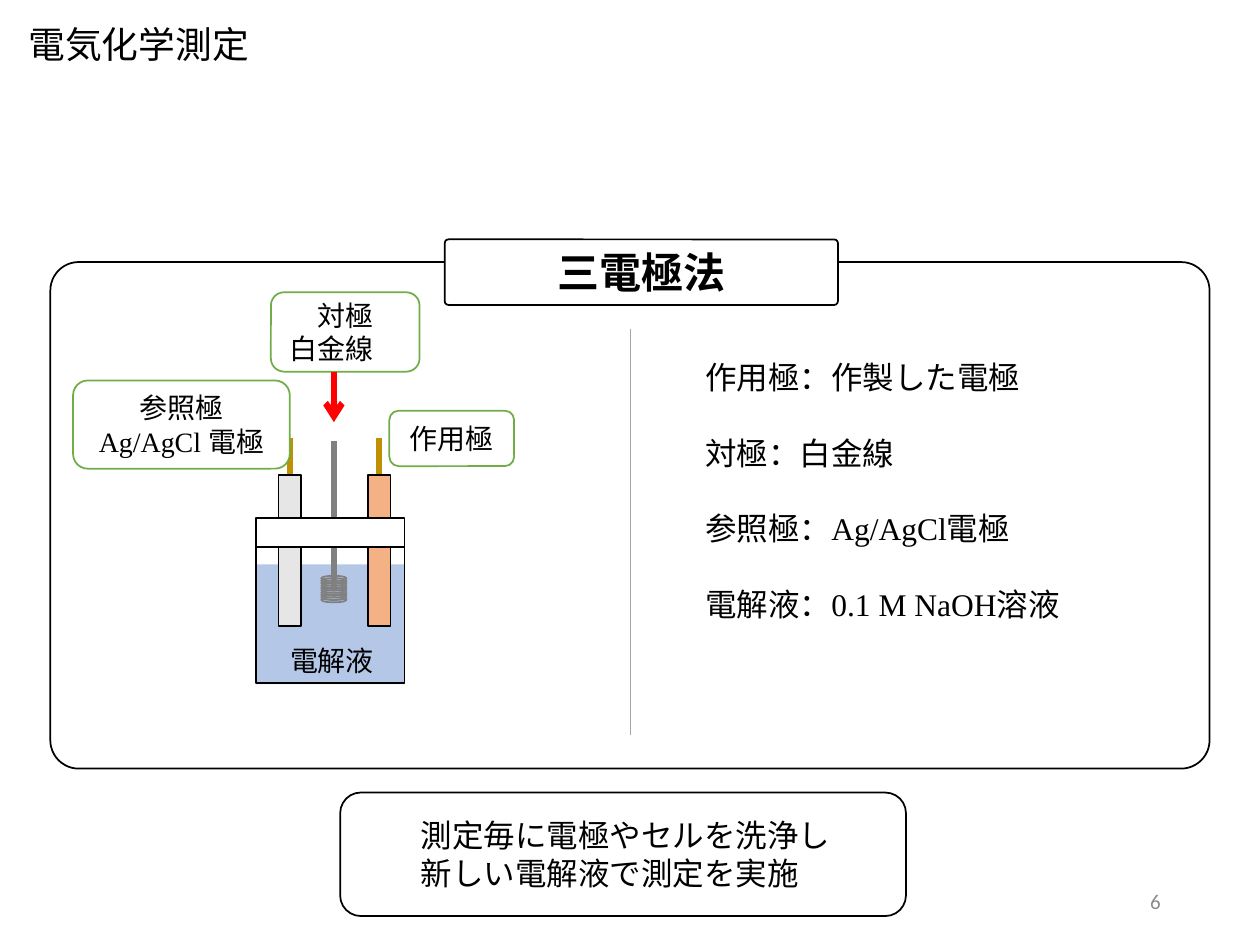
from lxml import etree
from pptx import Presentation
from pptx import util as u
from pptx.dml.color import RGBColor
from pptx.enum import shapes, text
from pptx.oxml import ns

# Content
SANS, SERIF = "Noto Sans CJK JP", "Times New Roman"
TITLE = "電気化学測定"
HEAD = "三電極法"
ROLES = ["作用極：作製した電極", "対極：白金線",
         "参照極：Ag/AgCl電極", "電解液：0.1 M NaOH溶液"]
NOTE = ["測定毎に電極やセルを洗浄し", "新しい電解液で測定を実施"]
PAGE = "6"
# Label lines are lists of (text, font) runs
LABELS = [
    ((0.58, 3.02, 1.72, 0.7), [[("参照極", SANS)], [("Ag/AgCl ", SERIF), ("電極", SANS)]]),
    ((2.15, 2.32, 1.18, 0.63), [[("対極", SANS)], [("白金線\u3000".replace("\u3000", "　"), SANS)]]),
    ((3.09, 3.26, 0.99, 0.44), [[("作用極", SANS)]]),
]
BATH = ((2.12, 5.03, 1.03, 0.43), [[("電解液", SERIF)]])

# Cell geometry
LEFT, WIDE = 2.03, 1.18
WIRE = 2.65
RODS = [(3.01, "F4B183"), (2.3, "E7E6E6")]
ROD = (0.18, 1.2)
RINGS, STEP = 10, 0.019

BOX = shapes.MSO_SHAPE.RECTANGLE
ROUND = shapes.MSO_SHAPE.ROUNDED_RECTANGLE
OVAL = shapes.MSO_SHAPE.OVAL
MID = text.MSO_ANCHOR.MIDDLE
MIDDLE, RIGHT = text.PP_ALIGN.CENTER, text.PP_ALIGN.RIGHT

deck = Presentation()
deck.slide_width, deck.slide_height = u.Inches(10), u.Inches(7.5)
slide = deck.slides.add_slide(deck.slide_layouts[6])


def rgb(code):
    return RGBColor.from_string(code)


def shape(kind, spot, fill=None, line=None, adj=None):
    part = slide.shapes.add_shape(kind, *map(u.Inches, spot))
    part.shadow.inherit = False
    if fill:
        part.fill.solid()
        part.fill.fore_color.rgb = rgb(fill)
    else:
        part.fill.background()
    if line:
        part.line.color.rgb = rgb(line)
        part.line.width = u.Pt(1)
    else:
        part.line.fill.background()
    if adj:
        part.adjustments[0] = adj
    return part


def line(start, end, color, width, arrow=False):
    wire = slide.shapes.add_connector(
        shapes.MSO_CONNECTOR.STRAIGHT, *map(u.Inches, start + end))
    wire.line.color.rgb = rgb(color)
    wire.line.width = u.Pt(width)
    if arrow:
        etree.SubElement(wire.line._get_or_add_ln(), ns.qn("a:tailEnd"), type="arrow")
    etree.SubElement(wire._element.spPr, ns.qn("a:effectLst"))


def write(part, rows, size, align=None, color="000000", bold=False, gap=0, wrap=True, anchor=MID):
    frame = part.text_frame
    frame.word_wrap, frame.vertical_anchor = wrap, anchor
    for i, row in enumerate(rows):
        para = frame.paragraphs[0] if i == 0 else frame.add_paragraph()
        para.alignment = align or text.PP_ALIGN.LEFT
        para.space_before = u.Pt(gap if i else 0)
        for words, face in row:
            run = para.add_run()
            run.text = words
            for key, value in {"name": face, "size": u.Pt(size), "bold": bold}.items():
                setattr(run.font, key, value)
            run.font.color.rgb = rgb(color)
            # East Asian glyphs always use the sans face
            etree.SubElement(run.font._element, ns.qn("a:ea"), typeface=SANS)


def note(spot, rows, size, **form):
    write(slide.shapes.add_textbox(*map(u.Inches, spot)), rows, size, **form)


# Electrolyte, page number and wires
shape(BOX, (LEFT, 4.48, WIDE, 0.95), "B4C7E7")
note((7.06, 6.95, 2.25, 0.4), [[(PAGE, "Calibri")]], 12, align=RIGHT, color="8C8C8C")
line((WIRE, 4.68), (WIRE, 3.5), "808080", 3.25)
for x, _ in RODS:
    line((x, 3.92), (x, 3.48), "BF9000", 3.25)

# Vessel, rods and lid
shape(BOX, (LEFT, 4.33, WIDE, 1.09), line="000000")
for x, fill in RODS:
    shape(BOX, (x - ROD[0] / 2, 3.77, *ROD), fill, "000000")
shape(BOX, (LEFT, 4.11, WIDE, 0.23), "FFFFFF", "000000")

# Labels, arrow and platinum coil
for spot, rows in LABELS:
    write(shape(ROUND, spot, "FFFFFF", "70AD47"), rows, 16, MIDDLE)
line((WIRE, 2.95), (WIRE, 3.35), "FF0000", 3.5, arrow=True)
write(shape(ROUND, BATH[0]), BATH[1], 16, MIDDLE)
for i in range(RINGS):
    shape(OVAL, (WIRE - 0.1, 4.57 + i * STEP, 0.2, 0.04), line="808080")

# Title and list of roles
TOP = text.MSO_ANCHOR.TOP
note((-0.45, 0.12, 3.1, 0.45), [[(TITLE, SANS)]], 21, align=MIDDLE, anchor=TOP)
note((5.5, 2.79, 3.14, 2.22), [[(role, SERIF)] for role in ROLES], 18,
     gap=21.7, wrap=False, anchor=TOP)

# Frame, heading and divider
shape(ROUND, (0.4, 2.08, 9.2, 4.02), line="000000", adj=0.056)
head = shape(ROUND, (3.53, 1.9, 3.12, 0.52), "FFFFFF", "000000", 0.056)
write(head, [[(HEAD, SANS)]], 24, MIDDLE, bold=True)
line((5, 2.61), (5, 5.83), "A5A5A5", 0.5)

# Closing note
note((3.24, 6.43, 3.48, 0.71), [[(row, SERIF)] for row in NOTE], 18, wrap=False, anchor=TOP)
shape(ROUND, (2.7, 6.29, 4.49, 0.98), line="000000")

deck.save("out.pptx")
